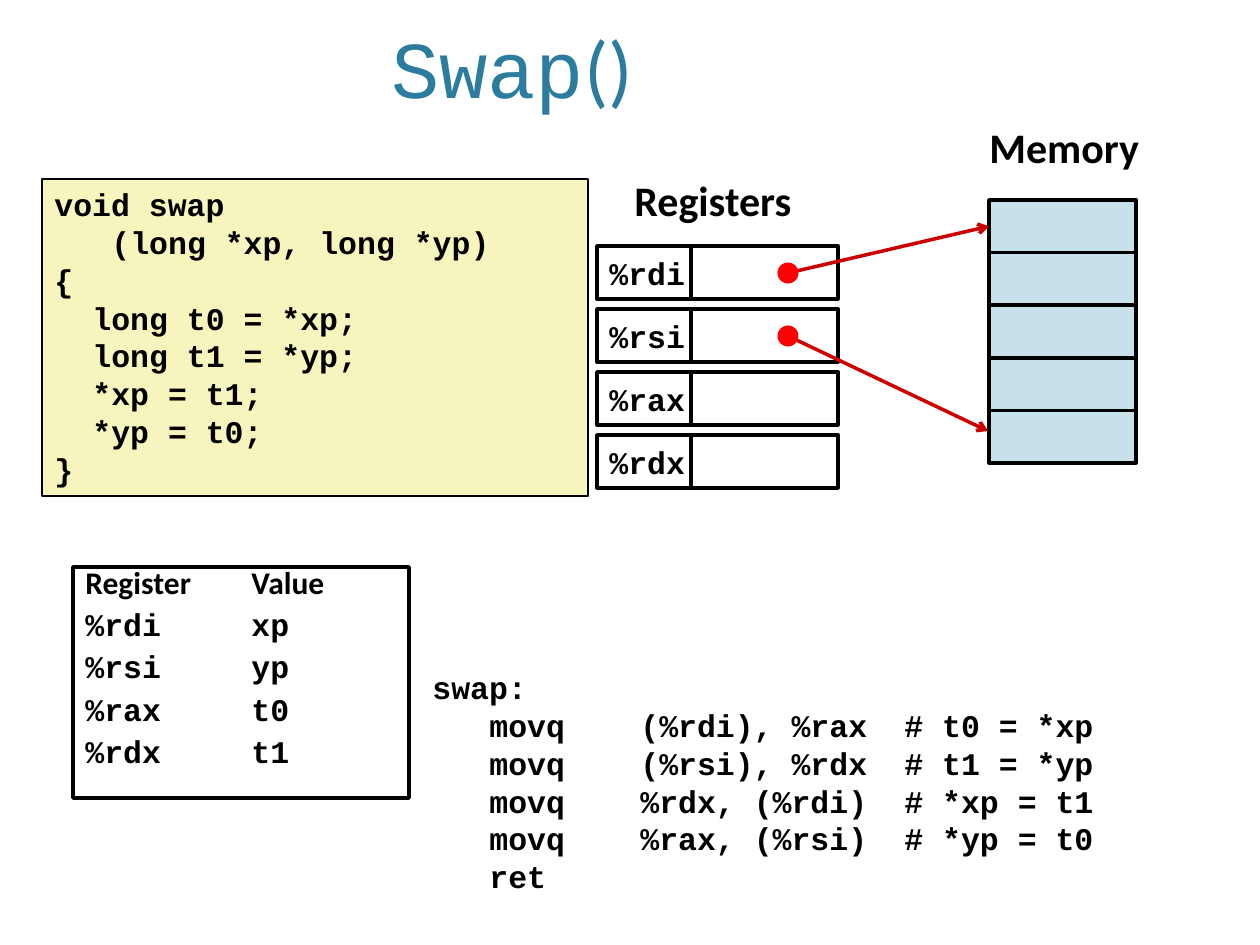
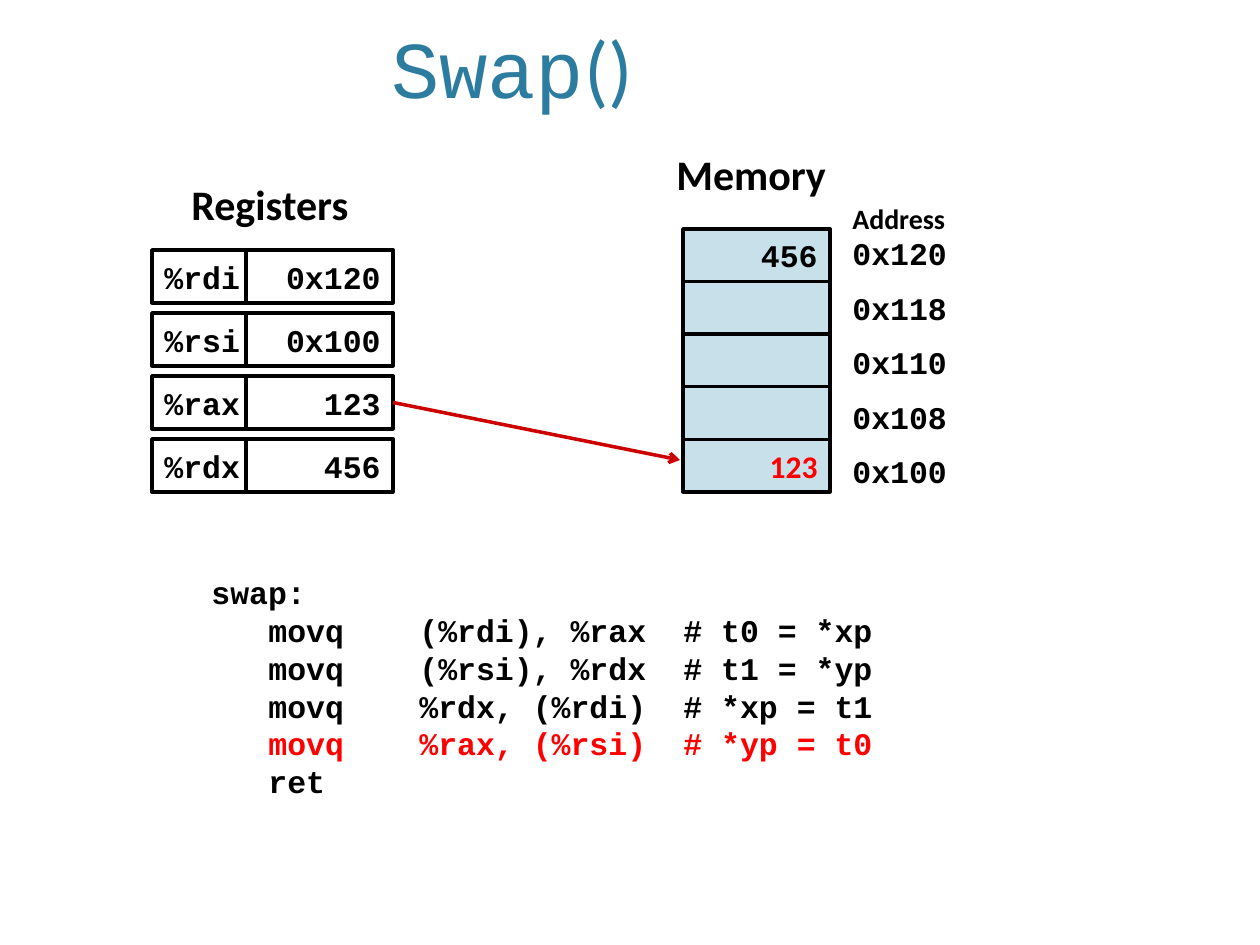
from pptx import Presentation
from pptx.util import Emu, Pt
from pptx.dml.color import RGBColor
from pptx.enum.shapes import MSO_CONNECTOR as LINK, MSO_SHAPE as FORM
from pptx.enum.text import MSO_ANCHOR as ANCHOR, MSO_AUTO_SIZE as FIT, PP_ALIGN as ALIGN
from pptx.oxml.ns import qn
from lxml.etree import SubElement

# Shared style
HUES = {"ink": "000000", "title": "2C7C9F", "paper": "FFFFFF", "code": "F6F5BD",
        "cell": "C8E0E9", "arrow": "CC0000", "hot": "FF0000"}
MONO, SANS = "Courier New", "Calibri"
SCALE = 914400 / 126

# Content
TITLE = [[("Swap", {}), ("()", {"font": SANS})]]
CODE = ["void swap", "\t\t(long *xp, long *yp)", "{", "\tlong t0 = *xp;",
        "\tlong t1 = *yp;", "\t*xp = t1;", "\t*yp = t0;", "}"]
ASM = ["swap:",
       "\tmovq\t(%rdi), %rax\t# t0 = *xp",
       "\tmovq\t(%rsi), %rdx\t# t1 = *yp",
       "\tmovq\t%rdx, (%rdi)\t# *xp = t1",
       "\tmovq\t%rax, (%rsi)\t# *yp = t0",
       "\tret"]
HOT = 4  # the assembly line being run on slide 2
LEGEND = [[("Register\tValue", {"font": SANS})],
          "%rdi\txp", "%rsi\typ", "%rax\tt0", "%rdx\tt1"]
NAMES = ["%rdi", "%rsi", "%rax", "%rdx"]
VALUES = ["0x120", "0x100", "123", "456"]
PLACES = ["0x120", "0x118", "0x110", "0x108", "0x100"]

# Sizes in px
NAME_W, VALUE_W, REG_H, REG_STEP = 94, 147, 53, 63
MEM_W, MEM_H = 147, 263
CODE_TABS, ASM_TABS, LEGEND_TABS = [38, 57], [57, 208, 472], [166]
DOT = 21


def px(n):
    return Emu(round(n * SCALE))


def hue(name):
    return RGBColor.from_string(HUES[name])


def write(shape, lines, size=18, font=MONO, color="ink", bold=True, align=ALIGN.LEFT,
          anchor=ANCHOR.TOP, wrap=True, tabs=(), gap=0, lead=None):
    """Fill a shape; a line is a string or a list of (text, changes) runs."""
    frame = shape.text_frame
    frame.word_wrap, frame.vertical_anchor = wrap, anchor
    frame.auto_size = FIT.NONE
    for i, line in enumerate(lines):
        para = frame.add_paragraph() if i else frame.paragraphs[0]
        para.alignment, para.line_spacing = align, lead
        if gap and i:
            para.space_before = Pt(gap)
        if tabs:
            stops = SubElement(para._p.get_or_add_pPr(), qn("a:tabLst"))
            for stop in tabs:
                SubElement(stops, qn("a:tab"), pos=str(px(stop)), algn="l")
        for text, change in [(line, {})] if isinstance(line, str) else line:
            run = para.add_run()
            run.text = text
            run.font.name = change.get("font", font)
            run.font.size, run.font.bold = Pt(size), bold
            run.font.color.rgb = hue(change.get("color", color))


def box(slide, x, y, w, h, fill=None, line=2, form=FORM.RECTANGLE):
    shape = slide.shapes.add_shape(form, px(x), px(y), px(w), px(h))
    shape.shadow.inherit = False
    if fill:
        shape.fill.solid()
        shape.fill.fore_color.rgb = hue(fill)
    else:
        shape.fill.background()
    if line:
        shape.line.color.rgb = hue("ink")
        shape.line.width = Pt(line)
    else:
        shape.line.fill.background()
    return shape


def label(slide, x, y, w, h, lines, **style):
    shape = slide.shapes.add_textbox(px(x), px(y), px(w), px(h))
    write(shape, lines, **style)


def head(slide, x, y, w, text):
    label(slide, x, y, w, 63, [text], size=24, font=SANS, wrap=False)


def arrow(slide, x1, y1, x2, y2, start=None, end=None):
    link = slide.shapes.add_connector(LINK.STRAIGHT, px(x1), px(y1), px(x2), px(y2))
    if start:
        link.begin_connect(start, 3)
    if end:
        link.end_connect(end, 1)
    link.line.color.rgb = hue("arrow")
    link.line.width = Pt(2)
    SubElement(link.line._get_or_add_ln(), qn("a:tailEnd"), type="arrow")
    SubElement(link._element.spPr, qn("a:effectLst"))


def bank(slide, x, y, values=()):
    """Draw the register rows and return their value cells."""
    cells = []
    for i, name in enumerate(NAMES):
        top = y + i * REG_STEP
        tag = box(slide, x, top, NAME_W, REG_H, "paper")
        write(tag, [name], anchor=ANCHOR.MIDDLE, wrap=False)
        cells.append(box(slide, x + NAME_W, top, VALUE_W, REG_H, "paper"))
    for cell, value in zip(cells, values):
        fill_in(cell, value)
    return cells


def stack(slide, x, y):
    step = MEM_H / len(PLACES)
    return [box(slide, x, y + i * step, MEM_W, step, "cell") for i in range(len(PLACES))]


def fill_in(cell, value, **style):
    write(cell, [value], align=ALIGN.RIGHT, anchor=ANCHOR.MIDDLE, wrap=False, **style)


def page(deck):
    slide = deck.slides.add_slide(deck.slide_layouts[5])
    title = slide.shapes.title
    title.left, title.top, title.width, title.height = map(px, (73, 42, 878, 79))
    write(title, TITLE, size=46, color="title", bold=False,
          align=ALIGN.CENTER, anchor=ANCHOR.BOTTOM)
    return slide


def setup(deck):
    slide = page(deck)
    # C code and register legend
    code = box(slide, 42, 179, 546, 317, "code", line=1)
    write(code, CODE, tabs=CODE_TABS)
    legend = box(slide, 73, 567, 336, 231)
    write(legend, LEGEND, tabs=LEGEND_TABS, gap=9, lead=0.7)
    label(slide, 420, 662, 809, 242, ASM, tabs=ASM_TABS)
    # Registers and memory
    bank(slide, 597, 246)
    head(slide, 622, 168, 186, "Registers")
    cells = stack(slide, 989, 200)
    head(slide, 977, 115, 176, "Memory")
    # Pointers from registers into memory
    x, y = 788, 273
    arrow(slide, x, y, 989, 226, end=cells[0])
    arrow(slide, x, y + REG_STEP, 988, 431)
    for i in range(2):
        box(slide, x - DOT / 2, y + i * REG_STEP - DOT / 2, DOT, DOT,
            "hot", line=0, form=FORM.OVAL)


def store(deck):
    slide = page(deck)
    # Memory with addresses
    cells = stack(slide, 683, 229)
    fill_in(cells[0], "456")
    fill_in(cells[-1], "123", font=SANS, color="hot")
    head(slide, 664, 142, 176, "Memory")
    label(slide, 840, 195, 168, 47, ["Address"], size=16, font=SANS)
    for i, place in enumerate(PLACES):
        label(slide, 840, 228 + i * 54.5, 168, 50, [place])
    # Registers and the write to memory
    regs = bank(slide, 152, 250, VALUES)
    head(slide, 179, 172, 186, "Registers")
    arrow(slide, 394, 402, 680, 460, start=regs[2])
    # Assembly with the current line marked
    lines = [[(text, {"color": "hot"})] if i == HOT else text
             for i, text in enumerate(ASM)]
    label(slide, 199, 567, 809, 242, lines, tabs=ASM_TABS)


def main():
    deck = Presentation()
    deck.slide_width, deck.slide_height = px(1260), px(945)
    setup(deck)
    store(deck)
    deck.save("out.pptx")


if __name__ == "__main__":
    main()
